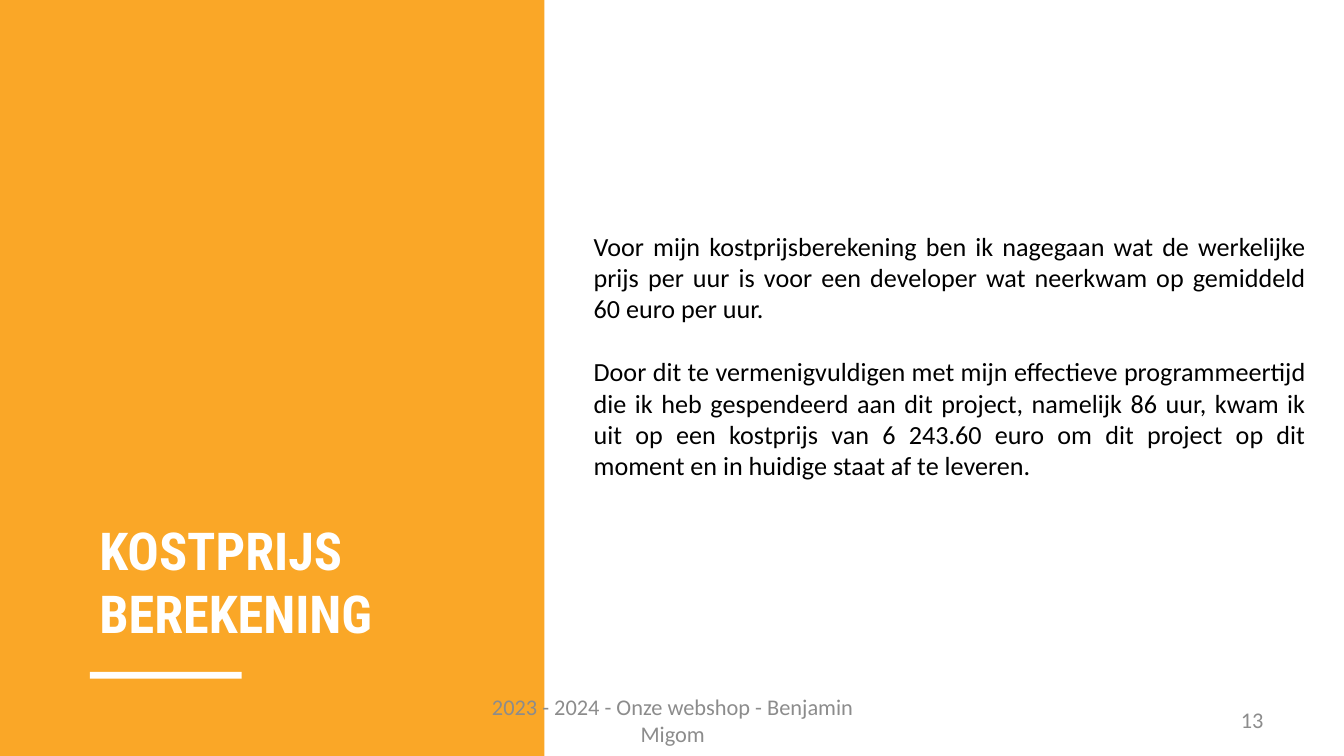
from pptx import Presentation
from pptx.dml.color import RGBColor
from pptx.enum.shapes import MSO_SHAPE
from pptx.enum.text import MSO_ANCHOR, PP_ALIGN
from pptx.util import Cm, Pt

ORANGE = RGBColor(0xFA, 0xA7, 0x27)
WHITE = RGBColor(0xFF, 0xFF, 0xFF)
GRAY = RGBColor(0x8C, 0x8C, 0x8C)
BLACK = RGBColor(0x00, 0x00, 0x00)


def add_bar(s, left, top, width, height, color):
    sp = s.shapes.add_shape(MSO_SHAPE.RECTANGLE, Cm(left), Cm(top), Cm(width), Cm(height))
    sp.shadow.inherit = False
    sp.fill.solid()
    sp.fill.fore_color.rgb = color
    sp.line.fill.background()


def add_text(s, left, top, width, height, text, size, color, align=PP_ALIGN.LEFT,
             anchor=MSO_ANCHOR.TOP, font="Calibri", bold=False):
    """Add a wrapping text box; each line of text becomes a paragraph."""
    tf = s.shapes.add_textbox(Cm(left), Cm(top), Cm(width), Cm(height)).text_frame
    tf.word_wrap = True
    tf.vertical_anchor = anchor
    tf.text = text
    for p in tf.paragraphs:
        p.alignment = align
        for r in p.runs:
            r.font.name = font
            r.font.size = Pt(size)
            r.font.bold = bold
            r.font.color.rgb = color
    return tf


prs = Presentation()
prs.slide_width, prs.slide_height = Cm(25.4), Cm(14.29)
s = prs.slides.add_slide(prs.slide_layouts[6])

# Title panel
add_bar(s, 0, 0, 10.29, 14.29, ORANGE)
add_text(s, 1.63, 9.68, 7.77, 2.62, "KOSTPRIJS BEREKENING", 28, WHITE,
         font="Roboto Condensed", bold=True)
add_bar(s, 1.7, 12.7, 2.87, 0.13, WHITE)

# Slide number and footer
add_text(s, 18.21, 13.23, 5.92, 0.76, "13", 12, GRAY, PP_ALIGN.RIGHT, MSO_ANCHOR.MIDDLE)
add_text(s, 8.69, 13.23, 8.05, 0.76, "2023 - 2024 - Onze webshop - Benjamin Migom",
         12, GRAY, PP_ALIGN.CENTER, MSO_ANCHOR.MIDDLE)

# Explanation
body = add_text(
    s, 10.97, 4.22, 13.97, 5,
    "Voor mijn kostprijsberekening ben ik nagegaan wat de werkelijke prijs per uur "
    "is voor een developer wat neerkwam op gemiddeld 60 euro per uur.\n"
    "Door dit te vermenigvuldigen met mijn effectieve programmeertijd die ik heb "
    "gespendeerd aan dit project, namelijk 86 uur, kwam ik uit op een kostprijs van "
    "6 243.60 euro om dit project op dit moment en in huidige staat af te leveren.",
    14, BLACK, PP_ALIGN.JUSTIFY)
body.paragraphs[1].space_before = Pt(17)

prs.save("out.pptx")
